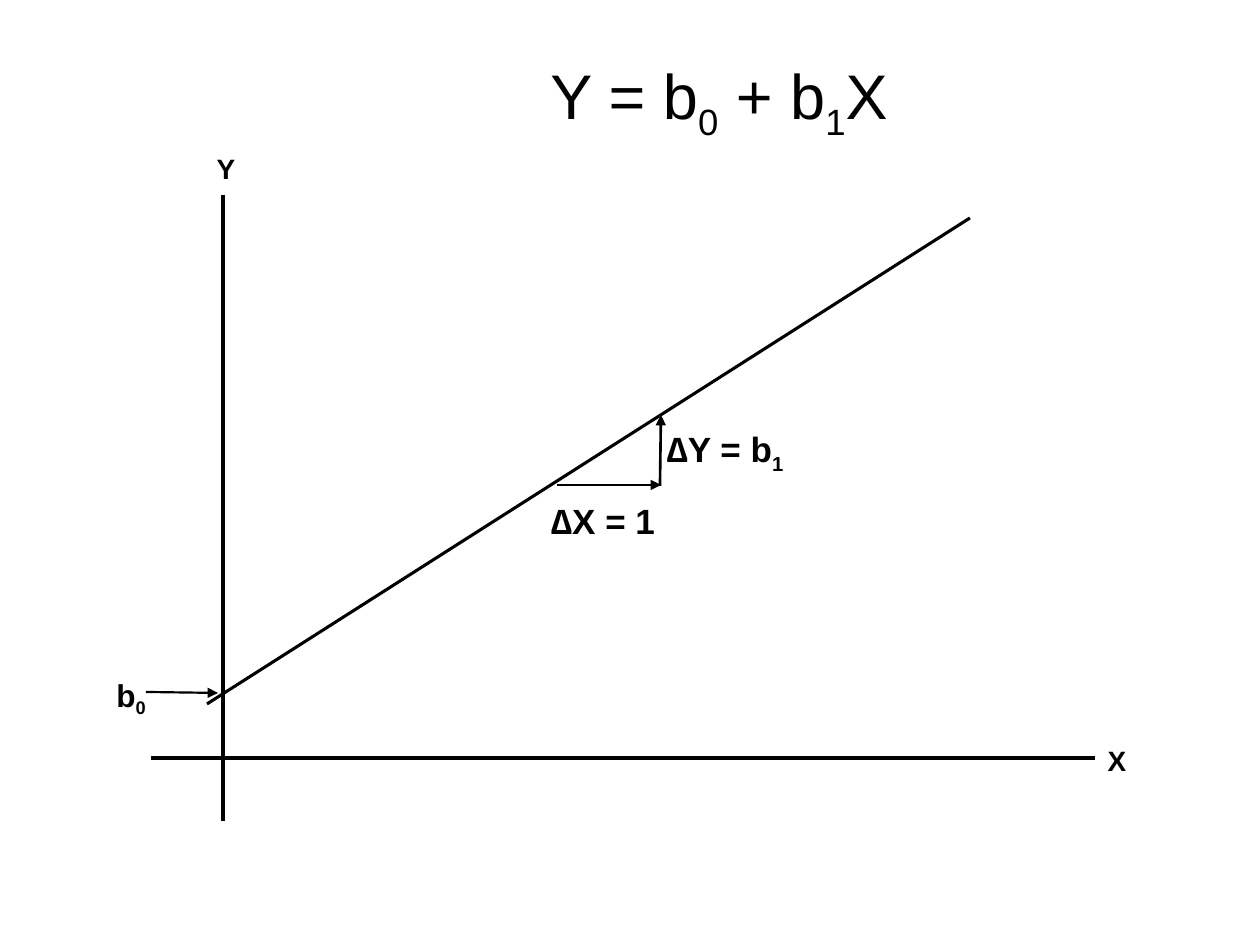
from lxml import etree
from pptx import Presentation, util as u
from pptx.dml.color import RGBColor
from pptx.enum import shapes, text
from pptx.oxml.ns import qn

PX = u.Inches(1) // 126
BLACK = "000000"

# Lines: start x, y, end x, y (px), width (pt), arrowhead
LINES = [
    (223, 195, 223, 821, 1.75, False),    # Y axis
    (151, 758, 1095, 758, 1.75, False),   # X axis
    (207, 704, 970, 218, 1.75, False),    # regression line
    (557, 485, 661, 485, 1.5, True),      # run
    (660, 486, 661, 415, 1.5, True),      # rise
    (146, 692, 218, 693, 1.25, True),     # intercept pointer
]

# Labels: left, top, width, height (px), size (pt), bold, line spacing, parts
# Every second part is a subscript
LABELS = [
    (325, 42, 788, 116, 36, False, 1.0, ["Y = b", "0", " + b", "1", "X"]),
    (1095, 741, 44, 43, 16, True, 0.9, ["X"]),
    (204, 149, 44, 43, 16, True, 0.9, ["Y"]),
    (653, 425, 144, 50, 20, True, 0.9, ["∆Y = b", "1"]),
    (102, 672, 58, 47, 18, True, 0.9, ["b", "0"]),
    (538, 498, 130, 50, 20, True, 0.9, ["∆X = 1"]),
]


def color(value):
    return RGBColor.from_string(value)


def add_line(slide, x1, y1, x2, y2, width, arrow):
    line = slide.shapes.add_connector(
        shapes.MSO_CONNECTOR.STRAIGHT, *(v * PX for v in (x1, y1, x2, y2)))
    line.line.color.rgb = color(BLACK)
    line.line.width = u.Pt(width)
    if arrow:
        etree.SubElement(line.line._get_or_add_ln(), qn("a:tailEnd"), type="triangle")
    etree.SubElement(line._element.spPr, qn("a:effectLst"))


def add_label(slide, left, top, width, height, size, bold, spacing, parts):
    label = slide.shapes.add_textbox(*(v * PX for v in (left, top, width, height)))
    frame = label.text_frame
    frame.word_wrap = False
    frame.vertical_anchor = text.MSO_ANCHOR.MIDDLE
    paragraph = frame.paragraphs[0]
    paragraph.alignment = text.PP_ALIGN.CENTER
    paragraph.line_spacing = spacing
    font_format = {"name": "Arial", "size": u.Pt(size), "bold": bold}
    for i, part in enumerate(parts):
        run = paragraph.add_run()
        run.text = part
        for key, value in font_format.items():
            setattr(run.font, key, value)
        run.font.color.rgb = color(BLACK)
        if i % 2:
            run.font._element.set("baseline", "-25000")


def main():
    prs = Presentation()
    prs.slide_width, prs.slide_height = 1260 * PX, 945 * PX
    slide = prs.slides.add_slide(prs.slide_layouts[6])

    # Axes, regression line and slope triangle
    for line in LINES:
        add_line(slide, *line)

    # Equation and labels
    for label in LABELS:
        add_label(slide, *label)

    prs.save("out.pptx")


if __name__ == "__main__":
    main()
